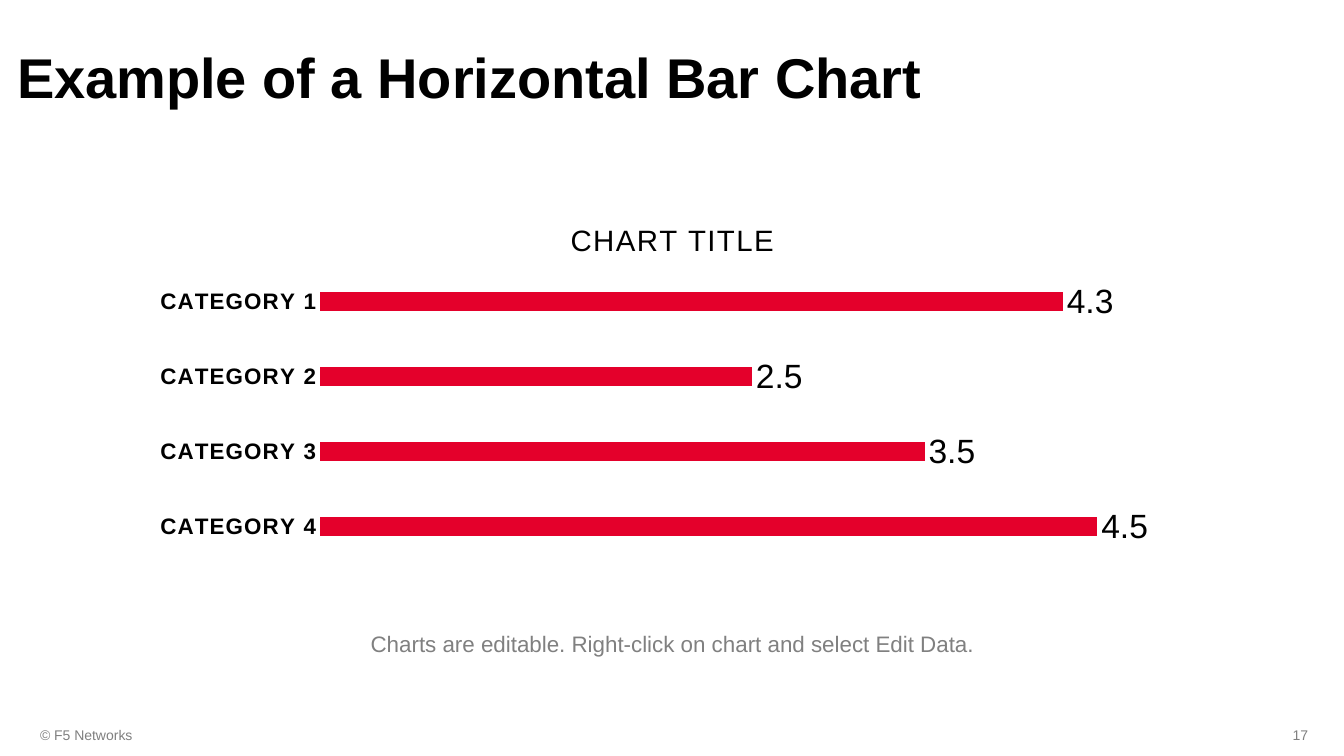
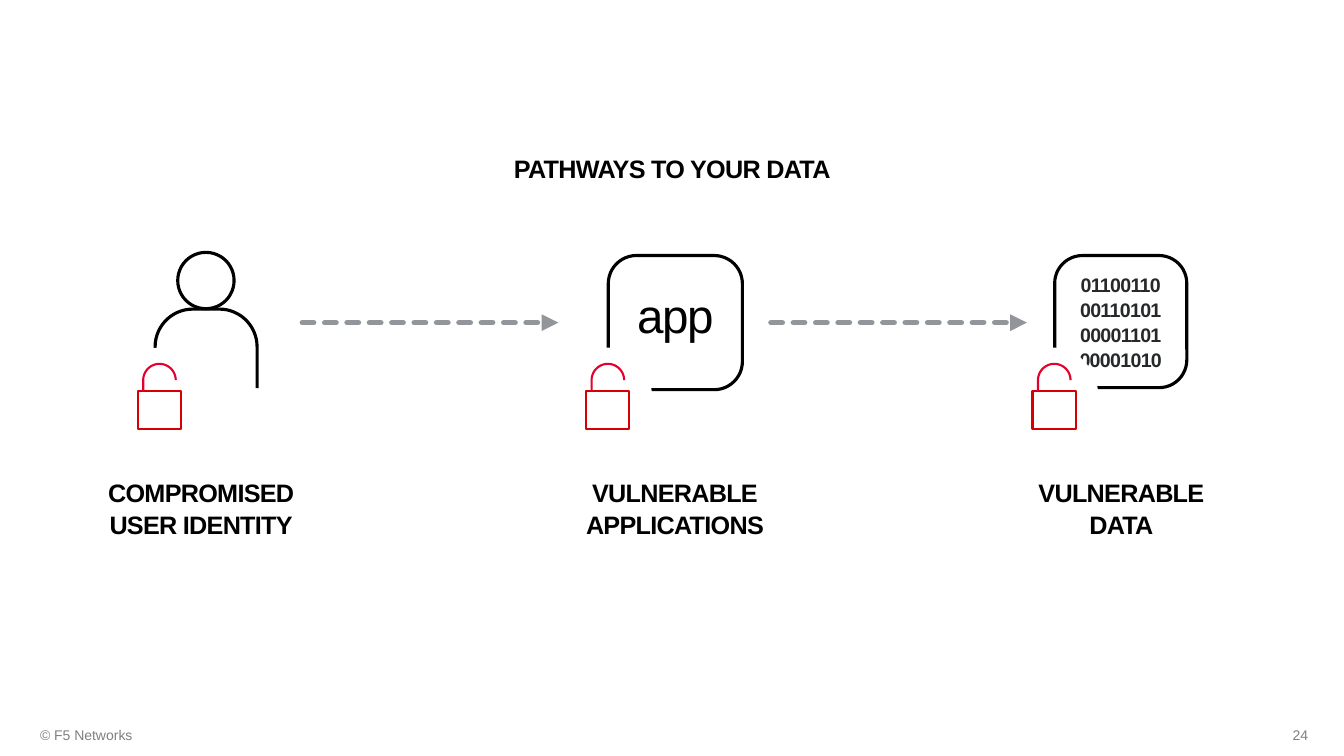
"""Build a bar chart slide and a data pathway diagram slide."""
from dataclasses import dataclass
from math import cos, radians, sin

from lxml.etree import SubElement
from pptx import Presentation
from pptx.chart.data import CategoryChartData
from pptx.dml.color import RGBColor
from pptx.enum.chart import XL_CHART_TYPE, XL_LABEL_POSITION, XL_TICK_MARK
from pptx.enum.dml import MSO_LINE
from pptx.enum.shapes import MSO_CONNECTOR, MSO_SHAPE
from pptx.enum.text import MSO_ANCHOR, MSO_AUTO_SIZE, PP_ALIGN
from pptx.oxml.ns import qn
from pptx.util import Cm, Pt


@dataclass(frozen=True)
class Theme:
    font: str = "Arial"
    black: str = "000000"
    white: str = "FFFFFF"
    gray: str = "808080"
    arrow: str = "92959A"
    digits: str = "26282A"
    red: str = "E4002B"
    lock: str = "D60000"
    title_size: float = 40
    heading_size: float = 18
    caption_size: float = 16
    footer_size: float = 10
    chart_title_size: float = 21
    category_size: float = 16
    value_size: float = 24
    app_size: float = 34
    digits_size: float = 14
    outline: float = 2.25
    lock_outline: float = 1.5
    arrow_width: float = 4
    inset: float = 0.43


THEME = Theme()

FOOTER = "© F5 Networks"
CHART_SLIDE = {
    "number": "17",
    "title": "Example of a Horizontal Bar Chart",
    "caption": "Charts are editable. Right-click on chart and select Edit Data.",
    "chart_title": "CHART TITLE",
    "series": "Series 1",
    "values": {"CATEGORY 1": 4.3, "CATEGORY 2": 2.5, "CATEGORY 3": 3.5, "CATEGORY 4": 4.5},
}
PATHWAY_SLIDE = {
    "number": "24",
    "title": "PATHWAYS TO YOUR DATA",
    "stages": [
        {"label": ["COMPROMISED", "USER IDENTITY"], "label_left": 0.84, "lock_left": 2.9},
        {"label": ["VULNERABLE", "APPLICATIONS"], "label_left": 12.78, "lock_left": 14.2},
        {"label": ["VULNERABLE", "DATA"], "label_left": 24.03, "lock_left": 25.45},
    ],
    "arrow_lefts": [7.62, 19.43],
    "app": ["app"],
    "digits": ["01100110", "00110101", "00001101", "00001010"],
}


def color(value):
    return RGBColor.from_string(value)


def box(left, top, width, height):
    return Cm(left), Cm(top), Cm(width), Cm(height)


def write(shape, lines, size, ink=THEME.black, bold=False, align=PP_ALIGN.LEFT,
          anchor=MSO_ANCHOR.MIDDLE, inset=THEME.inset, spacing=0.0, line_spacing=1.0):
    """Write lines as one paragraph with line breaks."""
    frame = shape.text_frame
    frame.word_wrap = True
    frame.auto_size = MSO_AUTO_SIZE.NONE
    frame.vertical_anchor = anchor
    frame.margin_left = frame.margin_right = Cm(inset)
    frame.margin_top = frame.margin_bottom = Cm(inset)
    paragraph = frame.paragraphs[0]
    paragraph.alignment = align
    paragraph.line_spacing = line_spacing
    paragraph.space_before = Pt(0)
    for index, line in enumerate(lines):
        if index:
            paragraph.add_line_break()
        run = paragraph.add_run()
        run.text = line
        style_font(run.font, size, ink, bold)
        if spacing:
            run._r.get_or_add_rPr().set("spc", str(round(spacing * 100)))


def style_font(font, size, ink=THEME.black, bold=False):
    font.name = THEME.font
    font.size = Pt(size)
    font.bold = bold
    font.color.rgb = color(ink)


def add_text(slide, place, lines, size, **style):
    write(slide.shapes.add_textbox(*box(*place)), lines, size, **style)


def place_title(slide, place, text, size, **style):
    title = slide.shapes.title
    title.left, title.top, title.width, title.height = box(*place)
    write(title, [text], size, bold=True, **style)


def start_slide(presentation, number):
    """Add a title-only slide with its footer and number."""
    slide = presentation.slides.add_slide(presentation.slide_layouts[5])
    add_text(slide, (0.58, 18, 11.43, 1.02), [FOOTER], THEME.footer_size, ink=THEME.gray)
    add_text(slide, (25.02, 18, 8.38, 1.02), [number], THEME.footer_size, ink=THEME.gray,
             align=PP_ALIGN.RIGHT)
    return slide


def set_layout(parent, index, **fractions):
    """Fix the place of a chart part as fractions of the chart."""
    for old in parent.findall(qn("c:layout")):
        parent.remove(old)
    layout = parent.makeelement(qn("c:layout"), {})
    parent.insert(index, layout)
    manual = SubElement(layout, qn("c:manualLayout"))
    if "w" in fractions:
        SubElement(manual, qn("c:layoutTarget")).set("val", "inner")
    for axis in ("x", "y"):
        SubElement(manual, qn(f"c:{axis}Mode")).set("val", "edge")
    for key, value in fractions.items():
        SubElement(manual, qn(f"c:{key}")).set("val", str(value))


def add_bar_chart(slide, content):
    data = CategoryChartData()
    data.categories = list(content["values"])
    data.add_series(content["series"], list(content["values"].values()))
    chart = slide.shapes.add_chart(
        XL_CHART_TYPE.BAR_CLUSTERED, *box(3.5, 5.08, 26.87, 9.32), data).chart
    style_font(chart.font, THEME.category_size)
    chart.has_legend = False

    chart.has_title = True
    run = chart.chart_title.text_frame.paragraphs[0].add_run()
    run.text = content["chart_title"]
    style_font(run.font, THEME.chart_title_size)
    run._r.get_or_add_rPr().set("spc", "100")
    chart_element = chart.element
    set_layout(chart_element.find(".//" + qn("c:title")), 1, x=0.4, y=0.04)
    set_layout(chart_element.find(".//" + qn("c:plotArea")), 0, x=0.17, y=0.17, w=0.81, h=0.81)

    categories = chart.category_axis
    categories.reverse_order = True
    categories.major_tick_mark = XL_TICK_MARK.NONE
    categories.format.line.fill.background()
    style_font(categories.tick_labels.font, THEME.category_size, bold=True)
    category_element = chart_element.find(".//" + qn("c:catAx"))
    category_element.find(".//" + qn("a:defRPr")).set("spc", "100")
    values = chart.value_axis
    values.minimum_scale, values.maximum_scale = 0, 5
    values.has_major_gridlines = False
    values.visible = False

    plot = chart.plots[0]
    plot.gap_width = 294
    plot.vary_by_categories = False
    fill = plot.series[0].format.fill
    fill.solid()
    fill.fore_color.rgb = color(THEME.red)
    plot.has_data_labels = True
    labels = plot.data_labels
    labels.show_value = True
    labels.number_format = "0.0"
    labels.number_format_is_linked = False
    labels.position = XL_LABEL_POSITION.OUTSIDE_END
    style_font(labels.font, THEME.value_size)


def finish(shape, fill=None, line=None, width=THEME.outline):
    shape.shadow.inherit = False
    if fill:
        shape.fill.solid()
        shape.fill.fore_color.rgb = color(fill)
    else:
        shape.fill.background()
    if line:
        shape.line.color.rgb = color(line)
        shape.line.width = Pt(width)
    else:
        shape.line.fill.background()
    return shape


def add_outline(slide, kind, place, line, width=THEME.outline):
    return finish(slide.shapes.add_shape(kind, *box(*place)), line=line, width=width)


def arc(center_x, center_y, radius, start, end):
    return [(center_x + radius * cos(radians(angle)), center_y + radius * sin(radians(angle)))
            for angle in range(start, end + 1, 6)]


def add_path(slide, points, line, width=THEME.outline):
    corners = [(Cm(x), Cm(y)) for x, y in points]
    builder = slide.shapes.build_freeform(*corners[0])
    builder.add_line_segments(corners[1:], close=False)
    finish(builder.convert_to_shape(), line=line, width=width)


def add_person(slide):
    left, right, shoulder, foot, radius = 3.91, 6.48, 8.74, 9.78, 0.95
    body = [(left, foot), *arc(left + radius, shoulder, radius, 180, 270),
            *arc(right - radius, shoulder, radius, 270, 360), (right, foot)]
    add_path(slide, body, THEME.black)
    add_outline(slide, MSO_SHAPE.OVAL, (4.48, 6.36, 1.42, 1.42), THEME.black)


def add_tile(slide, left, side, lines, size, **style):
    tile = add_outline(slide, MSO_SHAPE.ROUNDED_RECTANGLE, (left, 6.44, side, side), THEME.black)
    tile.adjustments[0] = 0.21
    write(tile, lines, size, align=PP_ALIGN.CENTER, inset=0, **style)
    return tile


def add_lock(slide, left):
    """Draw an open padlock on a white disc."""
    finish(slide.shapes.add_shape(MSO_SHAPE.OVAL, *box(left, 8.76, 2.24, 2.62)), fill=THEME.white)
    body_top, radius = 9.85, 0.41
    add_outline(slide, MSO_SHAPE.RECTANGLE, (left + 0.57, body_top, 1.09, 0.96), THEME.lock,
                THEME.lock_outline)
    shackle = arc(left + 1.12, 9.58, radius, 180, 360)
    add_path(slide, [(shackle[0][0], body_top), *shackle], THEME.red, THEME.lock_outline)


def add_arrow(slide, left):
    top, length = 8.13, 6.45
    arrow = slide.shapes.add_connector(
        MSO_CONNECTOR.STRAIGHT, Cm(left), Cm(top), Cm(left + length), Cm(top))
    arrow.line.color.rgb = color(THEME.arrow)
    arrow.line.width = Pt(THEME.arrow_width)
    arrow.line.dash_style = MSO_LINE.SQUARE_DOT
    properties = arrow.element.find(qn("p:spPr"))
    line = properties.find(qn("a:ln"))
    line.find(qn("a:prstDash")).set("val", "sysDash")
    line.set("cap", "rnd")
    SubElement(line, qn("a:tailEnd")).set("type", "triangle")
    SubElement(properties, qn("a:effectLst"))


def build_chart_slide(presentation, content):
    slide = start_slide(presentation, content["number"])
    place_title(slide, (0, 0.84, 32.18, 2.41), content["title"], THEME.title_size,
                anchor=MSO_ANCHOR.TOP, line_spacing=0.9)
    add_text(slide, (8.79, 15.44, 16.31, 1.55), [content["caption"]], THEME.caption_size,
             ink=THEME.gray, align=PP_ALIGN.CENTER, anchor=MSO_ANCHOR.TOP)
    add_bar_chart(slide, content)


def build_pathway_slide(presentation, content):
    slide = start_slide(presentation, content["number"])
    place_title(slide, (5.94, 3.02, 22, 2.44), content["title"], THEME.heading_size,
                align=PP_ALIGN.CENTER, spacing=-0.5)
    for left in content["arrow_lefts"]:
        add_arrow(slide, left)
    add_person(slide)
    app = add_tile(slide, 15.33, 3.38, content["app"], THEME.app_size, spacing=-1)
    app.text_frame.margin_bottom = Cm(0.41)
    add_tile(slide, 26.58, 3.33, content["digits"], THEME.digits_size, ink=THEME.digits,
             bold=True, spacing=-0.5, line_spacing=1.05)
    for stage in content["stages"]:
        add_lock(slide, stage["lock_left"])
        add_text(slide, (stage["label_left"], 11.58, 8.46, 2.44), stage["label"],
                 THEME.heading_size, bold=True, align=PP_ALIGN.CENTER, spacing=-0.5,
                 line_spacing=1.05)


def main():
    presentation = Presentation()
    presentation.slide_width, presentation.slide_height = Cm(33.87), Cm(19.05)
    build_chart_slide(presentation, CHART_SLIDE)
    build_pathway_slide(presentation, PATHWAY_SLIDE)
    presentation.save("out.pptx")


if __name__ == "__main__":
    main()
